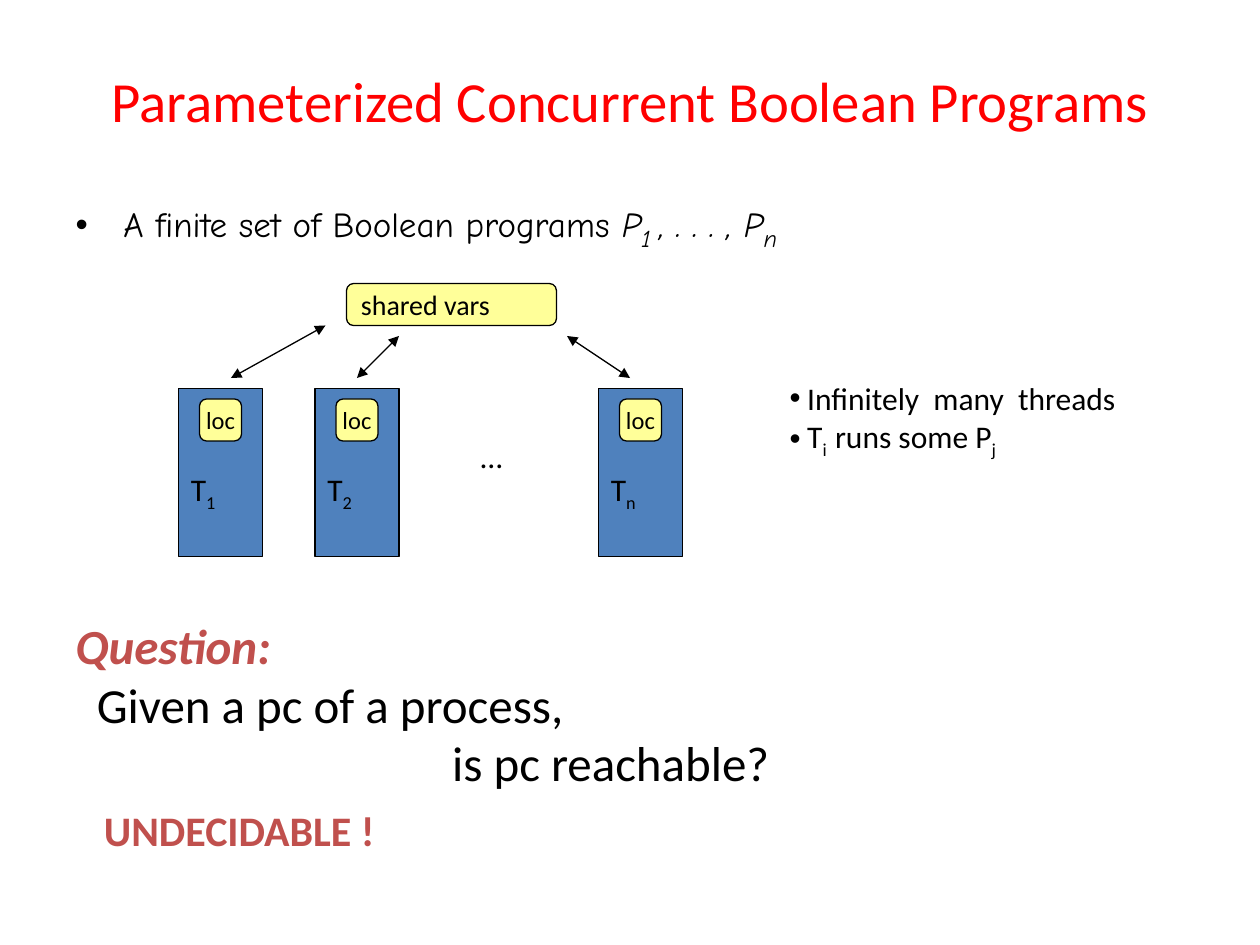
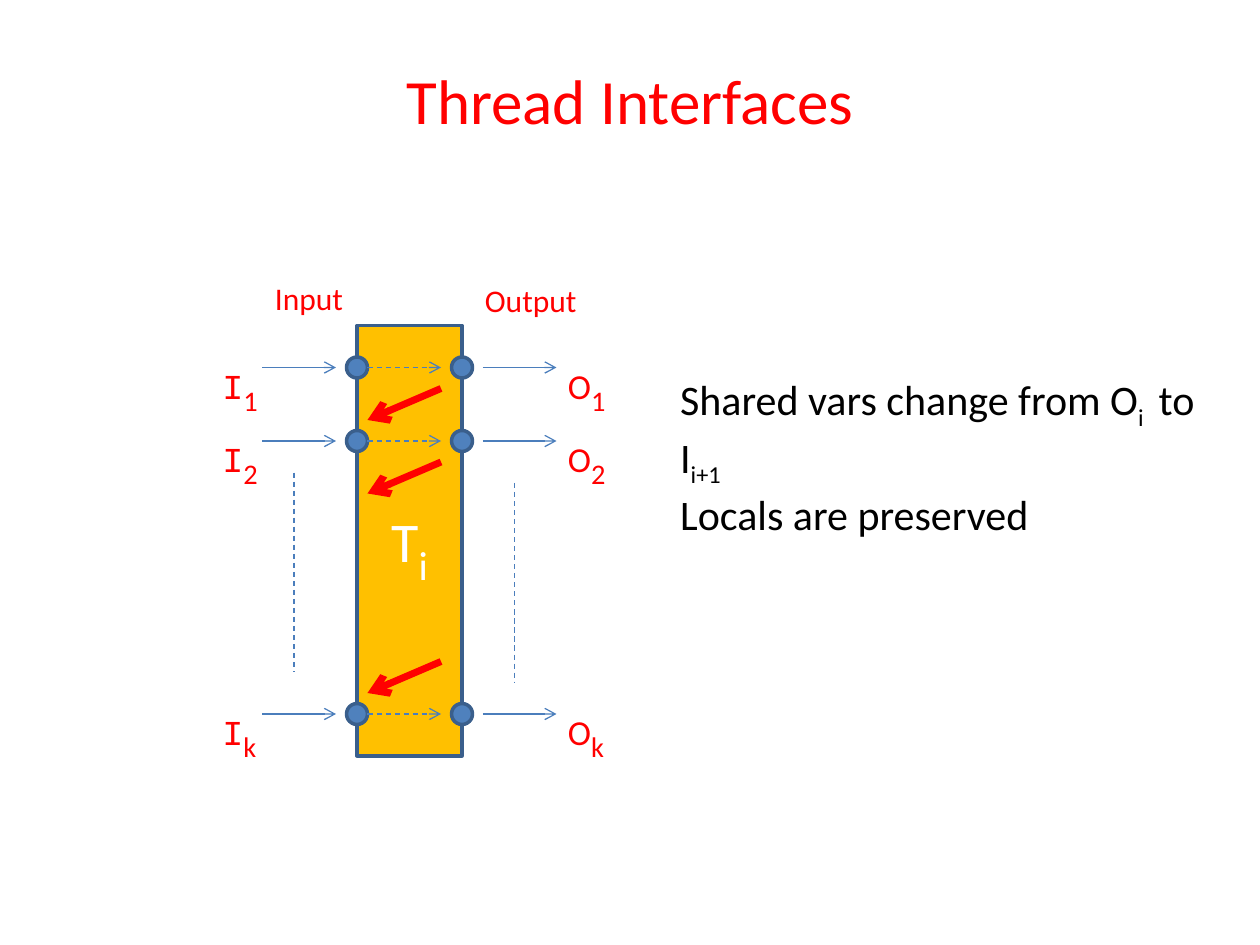
from dataclasses import dataclass, field
from typing import Any, Optional

from lxml import etree
from pptx import Presentation
from pptx import util as u
from pptx.dml import color as col
from pptx.enum import dml, shapes, text
from pptx.oxml import ns

RED = col.RGBColor(0xFF, 0x00, 0x00)
BRICK = col.RGBColor(0xC0, 0x50, 0x4D)
BLACK = col.RGBColor(0x00, 0x00, 0x00)
WHITE = col.RGBColor(0xFF, 0xFF, 0xFF)
BLUE = col.RGBColor(0x4F, 0x81, 0xBD)
NAVY = col.RGBColor(0x3A, 0x5F, 0x8C)
STEEL = col.RGBColor(0x4B, 0x7E, 0xBC)
GOLD = col.RGBColor(0xFF, 0xC0, 0x00)
CREAM = col.RGBColor(0xFF, 0xFF, 0x99)

SANS, HAND, MONO = "Calibri", "Comic Neue", "Courier New"
COLS = 120
FORM = shapes.MSO_SHAPE
LEFT, MID = text.PP_ALIGN.LEFT, text.PP_ALIGN.CENTER
TOP, CORE = text.MSO_ANCHOR.TOP, text.MSO_ANCHOR.MIDDLE
FIT, FIXED = text.MSO_AUTO_SIZE.SHAPE_TO_FIT_TEXT, text.MSO_AUTO_SIZE.NONE

deck = Presentation()
deck.slide_width, deck.slide_height = u.Inches(10), u.Inches(7.5)


@dataclass
class Run:
    txt: str
    size: float = 18
    hue: col.RGBColor = BLACK
    face: str = SANS
    sub: bool = False
    bold: bool = False
    slant: bool = False


@dataclass
class Para:
    runs: list[Run]
    align: Any = LEFT
    left: float = 0
    hang: float = 0
    gap: Optional[float] = None


@dataclass
class Area:
    x: float
    y: float
    w: float
    h: float


@dataclass
class Look:
    form: Any
    fill: col.RGBColor
    edge: col.RGBColor = BLACK
    width: float = 0.75


@dataclass
class Stroke:
    hue: col.RGBColor = STEEL
    width: float = 0.75
    dash: bool = False
    ends: dict[str, str] = field(default_factory=dict)


def grid(n: float) -> int:
    return round(deck.slide_width * n / COLS)


def apply(item: Any, vals: dict[str, Any]) -> None:
    for key, val in vals.items():
        setattr(item, key, val)


def place(item: Any, area: Area) -> None:
    apply(item, dict(left=grid(area.x), top=grid(area.y),
                     width=grid(area.w), height=grid(area.h)))


def write(item: Any, paras: list[Para], **vals: Any) -> None:
    frame = item.text_frame
    apply(frame, dict(word_wrap=True, auto_size=FIXED, vertical_anchor=TOP) | vals)
    for i, para in enumerate(paras):
        p = frame.add_paragraph() if i else frame.paragraphs[0]
        p.alignment = para.align
        if para.gap is not None:
            p.space_before = u.Pt(para.gap)
        if para.left:
            props = p._p.get_or_add_pPr()
            props.set("marL", str(u.Inches(para.left)))
            props.set("indent", str(u.Inches(-para.hang)))
        for run in para.runs:
            r = p.add_run()
            r.text = run.txt
            apply(r.font, dict(name=run.face, size=u.Pt(run.size),
                               bold=run.bold, italic=run.slant))
            r.font.color.rgb = run.hue
            if run.sub:
                r._r.get_or_add_rPr().set("baseline", "-25000")


def page(kind: int, title: str, size: float) -> Any:
    slide = deck.slides.add_slide(deck.slide_layouts[kind])
    head = slide.shapes.title
    place(head, Area(6, 2, 108, 15))
    write(head, [Para([Run(title, size, RED)], MID)], vertical_anchor=CORE)
    return slide


def label(slide: Any, area: Area, paras: list[Para], wrap: bool = True) -> None:
    box = slide.shapes.add_textbox(0, 0, 0, 0)
    write(box, paras, word_wrap=wrap, auto_size=FIT)
    place(box, area)


def block(slide: Any, area: Area, look: Look, paras: list[Para] = [], **vals: Any) -> None:
    item = slide.shapes.add_shape(look.form, 0, 0, 0, 0)
    place(item, area)
    item.shadow.inherit = False
    item.fill.solid()
    item.fill.fore_color.rgb = look.fill
    item.line.color.rgb = look.edge
    item.line.width = u.Pt(look.width)
    if paras:
        write(item, paras, **(dict(vertical_anchor=CORE, word_wrap=False) | vals))


def link(slide: Any, x: float, y: float, to_x: float, to_y: float, pen: Stroke) -> None:
    item = slide.shapes.add_connector(
        shapes.MSO_CONNECTOR.STRAIGHT, *map(grid, (x, y, to_x, to_y)))
    item.line.color.rgb = pen.hue
    item.line.width = u.Pt(pen.width)
    if pen.dash:
        item.line.dash_style = dml.MSO_LINE.DASH
    for end, kind in pen.ends.items():
        etree.SubElement(item.line._get_or_add_ln(), ns.qn("a:" + end), type=kind)
    etree.SubElement(item._element.spPr, ns.qn("a:effectLst"))


def threads() -> None:
    slide = page(3, "Parameterized Concurrent Boolean Programs", 32.4)
    sets, facts = list(slide.placeholders)[1:]
    place(sets, Area(6, 18, 108, 7))
    write(sets, [Para([
        Run("A finite set of Boolean programs ", 20, face=HAND),
        Run("P", 20, face=HAND, slant=True),
        Run("1 ", 24, face=HAND, slant=True, sub=True),
        Run(", . . . , P", 20, face=HAND, slant=True),
        Run("n", 24, face=HAND, slant=True, sub=True),
    ], left=0.38, hang=0.38)])
    place(facts, Area(74, 35.5, 37, 8.5))
    write(facts, [
        Para([Run("Infinitely  many  threads")], left=0.14, hang=0.14, gap=0),
        Para([Run("T"), Run("i  ", sub=True), Run("runs some P"),
              Run("j", sub=True)], left=0.14, hang=0.14, gap=0),
    ])

    label(slide, Area(6, 58, 99, 18), [
        Para([Run("Question:", 28, BRICK, bold=True, slant=True)]),
        Para([Run("Given a pc of a process,", 28)], left=0.17),
        Para([Run("is pc reachable?", 28)], left=2.99),
    ])
    label(slide, Area(8, 76, 32, 6),
          [Para([Run("UNDECIDABLE !", 24, BRICK, bold=True)], left=0.06)])

    body, note = Look(FORM.RECTANGLE, BLUE), Look(FORM.ROUNDED_RECTANGLE, CREAM)
    for x, name in ((17, "1"), (30, "2"), (57, "n")):
        block(slide, Area(x, 37, 8, 16), body,
              [Para([Run("T"), Run(name, sub=True)])], margin_top=u.Inches(0.35))
        block(slide, Area(x + 2, 38, 4, 4), note, [Para([Run("loc", 14)], MID)])
    block(slide, Area(33, 27, 20, 4), note, [Para([Run("shared vars", 16)])])
    label(slide, Area(44.6, 41, 6.4, 6), [Para([Run("…")])], wrap=False)

    both = Stroke(BLACK, ends=dict(headEnd="triangle", tailEnd="triangle"))
    for ends in ((22, 36, 31, 31), (34, 36, 38, 32), (54, 32, 60, 36)):
        link(slide, *ends, both)


def ports() -> None:
    slide = page(5, "Thread Interfaces", 36)
    block(slide, Area(34, 31, 10, 41), Look(FORM.RECTANGLE, GOLD, NAVY, 2),
          [Para([Run("T", 32, WHITE), Run("i", 40, WHITE, sub=True)], MID)],
          word_wrap=True)

    dot = Look(FORM.OVAL, BLUE, NAVY, 2)
    flow = Stroke(ends=dict(tailEnd="arrow"))
    step = Stroke(dash=True, ends=flow.ends)
    back = Stroke(RED, 4, ends=flow.ends)
    for y, turn, name in ((35, 37, "1"), (42, 44, "2"), (68, 63, "k")):
        for x in (34, 44):
            block(slide, Area(x - 1, y - 1, 2, 2), dot)
        for x, sign, face in ((20, "I", MONO), (52.9, "O", SANS)):
            label(slide, Area(x, y - 2.25, 6.1, 5.3), [Para([
                Run(sign, 20, RED, face), Run(name, 28, RED, sub=True)])], wrap=False)
        for x, pen in ((25, flow), (35, step), (46, flow)):
            link(slide, x, y, x + 7, y, pen)
        link(slide, 42, turn, 35, turn + 3, back)

    for x, y in ((28, 45), (49, 46)):
        link(slide, x, y, x, y + 19, Stroke(dash=True))
    for x, y, name in ((25, 26, "Input"), (45, 26.2, "Output")):
        label(slide, Area(x, y, 14, 4.8), [Para([Run(name, hue=RED)])])
    label(slide, Area(63.6, 35, 51.4, 15.7), [
        Para([Run("Shared vars change from O", 24), Run("i ", 24, sub=True),
              Run(" to I", 24), Run("i+1", 24, sub=True)]),
        Para([Run("Locals are preserved", 24)]),
    ])


threads()
ports()
deck.save("out.pptx")
